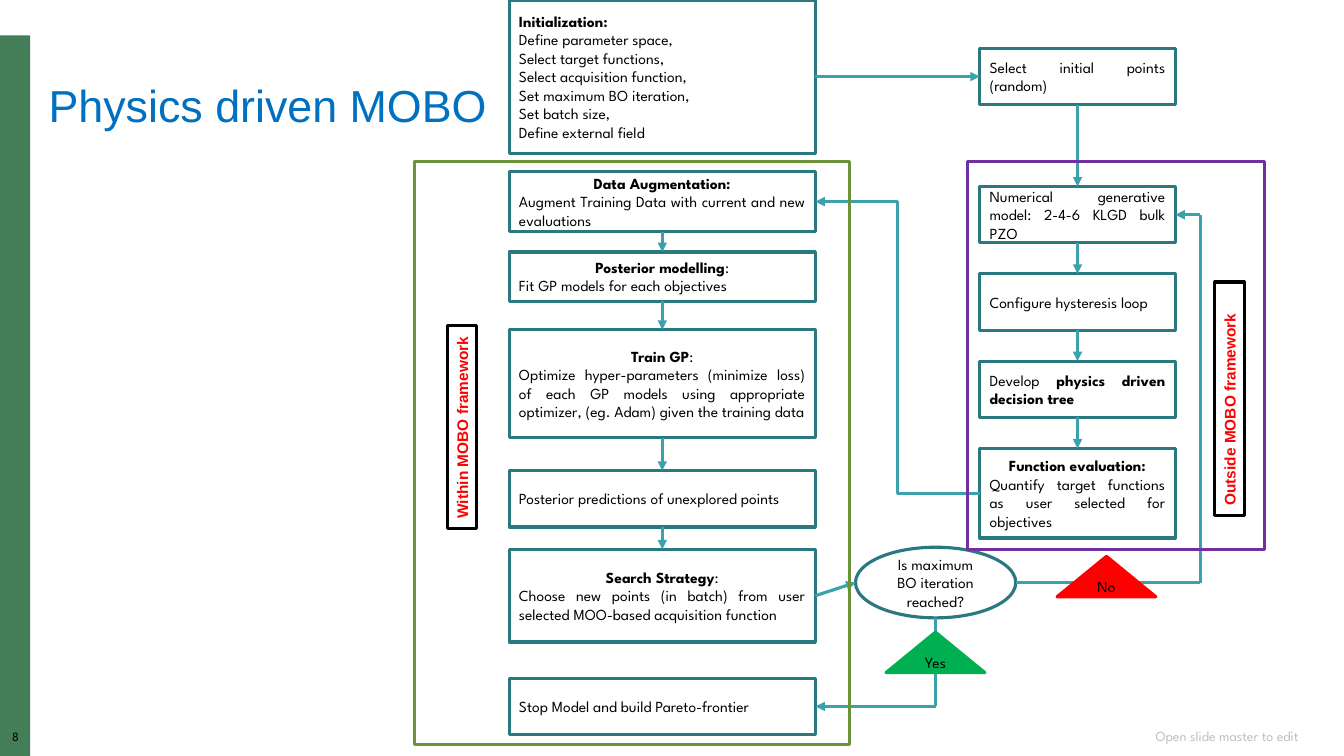
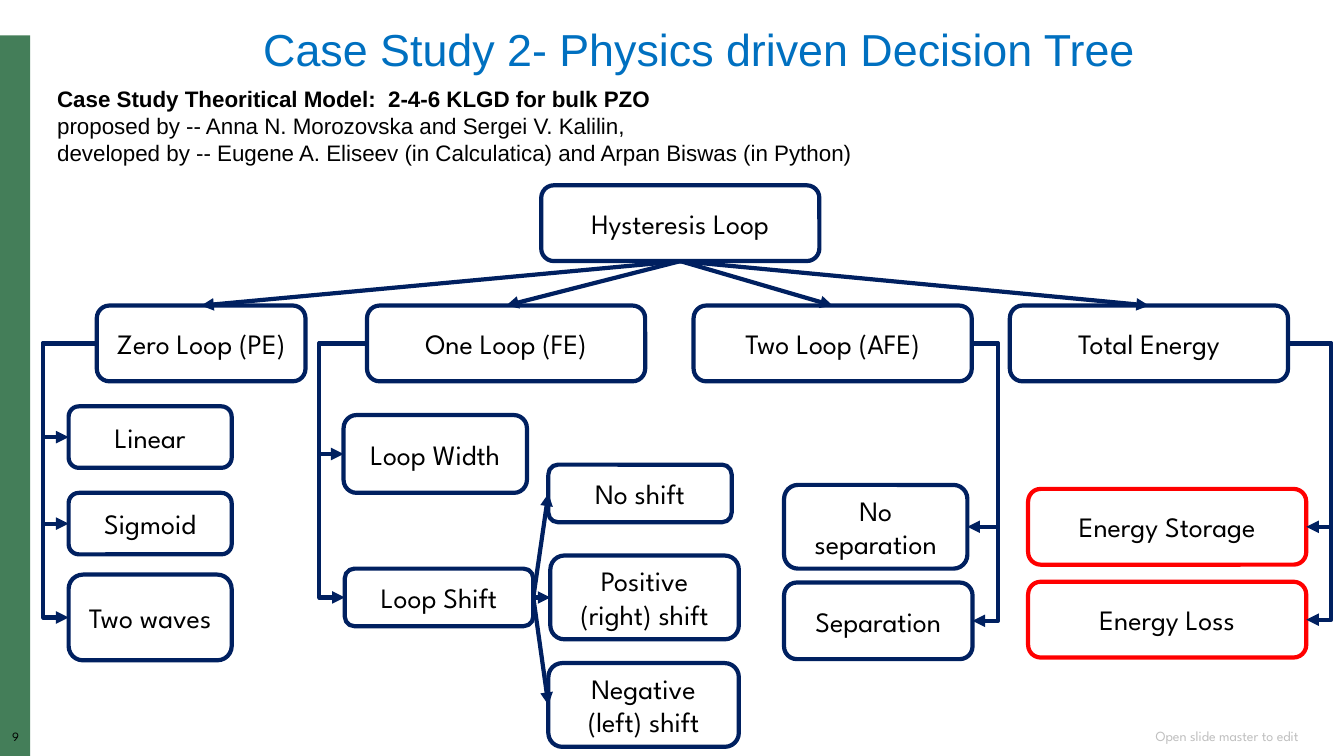
from lxml import etree
from pptx import Presentation
from pptx.dml.color import RGBColor
from pptx.enum import shapes, text
from pptx.oxml import ns
from pptx.util import Cm, Pt

# Shared look
GREEN_BAND, TITLE_BLUE, FOOTER_GREY = "447E59", "0070C0", "BFBFBF"
TEAL, LIGHT_TEAL, NAVY, RED, BLACK = "2C7880", "3BA2AD", "002060", "FF0000", "000000"
BODY_FONT, HEAD_FONT = "League Spartan", "Arial"
SHAPE, ALIGN = shapes.MSO_SHAPE, text.PP_ALIGN
TOP, LEFT, BOTTOM, RIGHT = range(4)


def color(value):
    return RGBColor.from_string(value)


def style_font(font, size, name=BODY_FONT, ink=BLACK, bold=None):
    font.name, font.size, font.bold = name, Pt(size), bold
    font.color.rgb = color(ink)


def write(frame, lines, aligns, size, name=BODY_FONT, ink=BLACK, bold=None):
    """Fill a frame; text between asterisks becomes bold."""
    for index, line in enumerate(lines):
        para = frame.paragraphs[0] if index == 0 else frame.add_paragraph()
        para.alignment = aligns[min(index, len(aligns) - 1)]
        style_font(para.font, size, name, ink, bold)
        for part, words in enumerate(line.split("*")):
            if words:
                span = para.add_run()
                span.text = words
                if part % 2:
                    span.font.bold = True


def add_text(page, place, lines, align, size, margin=None, **look):
    box = page.shapes.add_textbox(*map(Cm, place))
    frame = box.text_frame
    frame.word_wrap = True
    if margin is not None:
        frame.margin_left = frame.margin_right = Cm(margin)
        frame.margin_top = frame.margin_bottom = Cm(margin)
    write(frame, lines, [align], size, **look)
    return frame


def add_box(page, place, kind=SHAPE.RECTANGLE, fill=None, line=None, width=2.25):
    box = page.shapes.add_shape(kind, *map(Cm, place))
    box.shadow.inherit = False
    if fill:
        box.fill.solid()
        box.fill.fore_color.rgb = color(fill)
    else:
        box.fill.background()
    if line:
        box.line.color.rgb = color(line)
        box.line.width = Pt(width)
    else:
        box.line.fill.background()
    box.text_frame.word_wrap = True
    box.text_frame.vertical_anchor = text.MSO_ANCHOR.MIDDLE
    return box


def style_connector(connector, ink, width, arrow=True):
    connector.line.color.rgb = color(ink)
    connector.line.width = Pt(width)
    properties = connector._element.spPr
    if arrow:
        line = properties.find(ns.qn("a:ln"))
        etree.SubElement(line, ns.qn("a:tailEnd"), type="triangle")
    etree.SubElement(properties, ns.qn("a:effectLst"))


def link(page, start, start_side, end, end_side, ink, width, via=None):
    """Arrow between two boxes; via is the x of an elbow's upright part."""
    kind = shapes.MSO_CONNECTOR.STRAIGHT if via is None else shapes.MSO_CONNECTOR.ELBOW
    connector = page.shapes.add_connector(kind, 0, 0, 0, 0)
    connector.begin_connect(start, start_side)
    connector.end_connect(end, end_side)
    style_connector(connector, ink, width)
    if via is not None:
        run = connector.end_x - connector.begin_x
        ratio = round((Cm(via) - connector.begin_x) / run * 100000)
        geometry = connector._element.spPr.find(ns.qn("a:prstGeom"))
        guides = geometry.find(ns.qn("a:avLst"))
        if guides is None:
            guides = etree.SubElement(geometry, ns.qn("a:avLst"))
        etree.SubElement(guides, ns.qn("a:gd"), name="adj1", fmla=f"val {ratio}")


def route(page, points, ink, width):
    """Chain of straight lines with an arrowhead on the last one."""
    legs = list(zip(points, points[1:]))
    connector = None
    for index, (begin, end) in enumerate(legs):
        connector = page.shapes.add_connector(
            shapes.MSO_CONNECTOR.STRAIGHT, *map(Cm, begin + end))
        style_connector(connector, ink, width, arrow=index == len(legs) - 1)
    return connector


def new_page(deck, number, title, place):
    page = deck.slides.add_slide(deck.slide_layouts[5])
    heading = page.shapes.title
    heading.left, heading.top, heading.width, heading.height = map(Cm, place)
    heading.text_frame.word_wrap = False
    heading.text_frame.auto_size = text.MSO_AUTO_SIZE.NONE
    write(heading.text_frame, [title], [ALIGN.LEFT], 32, HEAD_FONT, TITLE_BLUE)

    # Side band, page number and footer
    add_box(page, (0, 0.89, 0.76, 18.16), fill=GREEN_BAND)
    frame = add_text(page, (0, 18.4, 0.79, 0.43), [str(number)], ALIGN.CENTER, 9, margin=0)
    frame.paragraphs[0].line_spacing = 0.9
    footer = add_text(page, (22.25, 18.29, 10.72, 0.51), ["Open slide master to edit"],
                      ALIGN.RIGHT, 10, ink=FOOTER_GREY)
    footer.vertical_anchor = text.MSO_ANCHOR.MIDDLE
    return page


def build_workflow(deck):
    page = new_page(deck, 8, "Physics driven MOBO", (0.97, 1.83, 11.66, 1.63))
    arrow = (LIGHT_TEAL, 2.25)

    def step(left, top, width, height, *lines, aligns=None):
        headed = len(lines) > 1
        box = add_box(page, (left, top, width, height), line=TEAL)
        aligns = aligns or ([ALIGN.CENTER, ALIGN.JUSTIFY] if headed else [ALIGN.JUSTIFY])
        write(box.text_frame, lines, aligns, 11)
        return box

    # Optimization column
    def inner(top, height, *lines, **options):
        return step(12.83, top, 7.72, height, *lines, **options)

    start = inner(0, 3.86, "*Initialization:*", "Define parameter space,",
                  "Select target functions,", "Select acquisition function,",
                  "Set maximum BO iteration,", "Set batch size,",
                  "Define external field", aligns=[ALIGN.JUSTIFY])
    loop = [
        inner(4.32, 1.52, "*Data Augmentation:*",
              "Augment Training Data with current and new evaluations"),
        inner(6.35, 1.24, "*Posterior modelling*:", "Fit GP models for each objectives"),
        inner(8.31, 2.72, "*Train GP*:",
              "Optimize hyper-parameters (minimize loss) of each GP models using "
              "appropriate optimizer, (eg. Adam) given the training data"),
        inner(11.86, 1.42, "Posterior predictions of unexplored points"),
        inner(13.84, 2.34, "*Search Strategy*:",
              "Choose new points (in batch) from user selected MOO-based "
              "acquisition function"),
    ]
    inner(17.09, 1.42, "Stop Model and build Pareto-frontier")

    # Physics column
    def outer(top, height, *lines):
        return step(24.69, top, 4.93, height, *lines)

    first, pitch = 4.7, 2.2
    physics = [
        outer(1.22, 1.42, "Select initial points (random)"),
        outer(first, 1.42, "Numerical generative model: 2-4-6 KLGD bulk PZO"),
        outer(first + pitch, 1.42, "Configure hysteresis loop"),
        outer(first + 2 * pitch, 1.42, "Develop *physics driven decision tree*"),
        outer(first + 3 * pitch, 2.26, "*Function evaluation:*",
              "Quantify target functions as user selected for objectives"),
    ]

    # Straight and bent arrows
    for column in (loop, physics):
        for upper, lower in zip(column, column[1:]):
            link(page, upper, BOTTOM, lower, TOP, *arrow)
    link(page, start, RIGHT, physics[0], LEFT, *arrow)
    link(page, physics[-1], LEFT, loop[0], RIGHT, *arrow, via=22.62)

    # Decision and its two exits
    decision = add_box(page, (21.56, 13.79, 4.04, 1.78), SHAPE.OVAL, line=TEAL)
    write(decision.text_frame, ["Is maximum BO iteration reached?"], [ALIGN.CENTER], 11)
    search = route(page, [(20.55, 15.01), (21.56, 14.68)], *arrow)
    search.begin_connect(loop[-1], RIGHT)
    route(page, [(25.6, 14.68), (30.25, 14.68), (30.25, 5.41), (29.62, 5.41)], *arrow)
    route(page, [(23.58, 15.57), (23.58, 17.8), (20.55, 17.8)], *arrow)
    for left, top, fill, answer in ((26.64, 14.02, RED, "No"),
                                    (22.33, 15.93, "00B050", "Yes")):
        sign = add_box(page, (left, top, 2.49, 1.02), SHAPE.ISOSCELES_TRIANGLE, fill, fill)
        write(sign.text_frame, [answer], [ALIGN.CENTER], 11)

    # Frames with upright labels
    for place, ink, label_place, label in (
            ((10.44, 4.06, 10.97, 14.71), "6C923A",
             (9.09, 10.39, 5.11, 0.74), "Within MOBO framework"),
            ((24.38, 4.06, 7.49, 9.78), "7030A0",
             (28.04, 9.68, 5.89, 0.74), "Outside MOBO framework")):
        add_box(page, place, line=ink)
        tag = add_box(page, label_place, line=BLACK)
        tag.rotation = 270
        write(tag.text_frame, [label], [ALIGN.LEFT], 11, HEAD_FONT, RED, True)


def build_tree(deck):
    page = new_page(deck, 9, "Case Study 2- Physics driven Decision Tree",
                    (6.38, 0.41, 22.66, 1.63))
    add_text(page, (1.19, 2.03, 32.23, 2.31),
             ["*Case Study Theoritical Model:  2-4-6 KLGD for bulk PZO*",
              "proposed by -- Anna N. Morozovska and Sergei V. Kalilin,",
              "developed by -- Eugene A. Eliseev (in Calculatica) and Arpan Biswas (in Python)"],
             ALIGN.LEFT, 16, name=HEAD_FONT)
    arrow = (NAVY, 3)

    def node(label, left, top, width, height=1.91, ink=NAVY):
        box = add_box(page, (left, top, width, height), SHAPE.ROUNDED_RECTANGLE,
                      line=ink, width=3)
        write(box.text_frame, [label], [ALIGN.CENTER], 20)
        return box

    # Root and its four branches
    root = node("Hysteresis Loop", 13.64, 4.67, 7.01)
    zero, one, two, energy = branches = [
        node(label, left, 7.7, width) for label, left, width in (
            ("Zero Loop (PE)", 2.44, 5.26), ("One Loop (FE)", 9.25, 7.01),
            ("Two Loop (AFE)", 17.48, 7.01), ("Total Energy", 25.45, 7.01))]
    for branch in branches:
        link(page, root, BOTTOM, branch, TOP, *arrow)

    # Leaves of each branch
    loop_shift = node("Loop Shift", 8.69, 14.33, 4.75, 1.45)
    families = (
        (zero, LEFT, 1.09, [node("Linear", 1.73, 10.24, 4.11, 1.55),
                            node("Sigmoid", 1.73, 12.42, 4.11, 1.55),
                            node("Two waves", 1.73, 14.48, 4.11, 2.16)]),
        (one, LEFT, 8.05, [node("Loop Width", 8.66, 10.46, 4.62, 1.96), loop_shift]),
        (two, RIGHT, 25.15, [node("No separation", 19.76, 12.22, 4.62, 2.11),
                             node("Separation", 19.76, 14.68, 4.75, 1.93)]),
        (energy, RIGHT, 33.55, [node("Energy Storage", 25.91, 12.32, 7.01, ink=RED),
                                node("Energy Loss", 25.91, 14.66, 7.01, ink=RED)]),
    )
    for parent, side, via, leaves in families:
        for leaf in leaves:
            link(page, parent, side, leaf, side, *arrow, via=via)

    # Kinds of shift
    for shift in (node("No shift", 13.82, 11.71, 4.62, 1.45),
                  node("Positive (right) shift", 13.87, 14, 4.75, 2.11),
                  node("Negative (left) shift", 13.82, 16.71, 4.8, 2.11)):
        link(page, loop_shift, RIGHT, shift, LEFT, *arrow)


def main():
    deck = Presentation()
    deck.slide_width, deck.slide_height = Cm(33.87), Cm(19.05)
    build_workflow(deck)
    build_tree(deck)
    deck.save("out.pptx")


if __name__ == "__main__":
    main()
